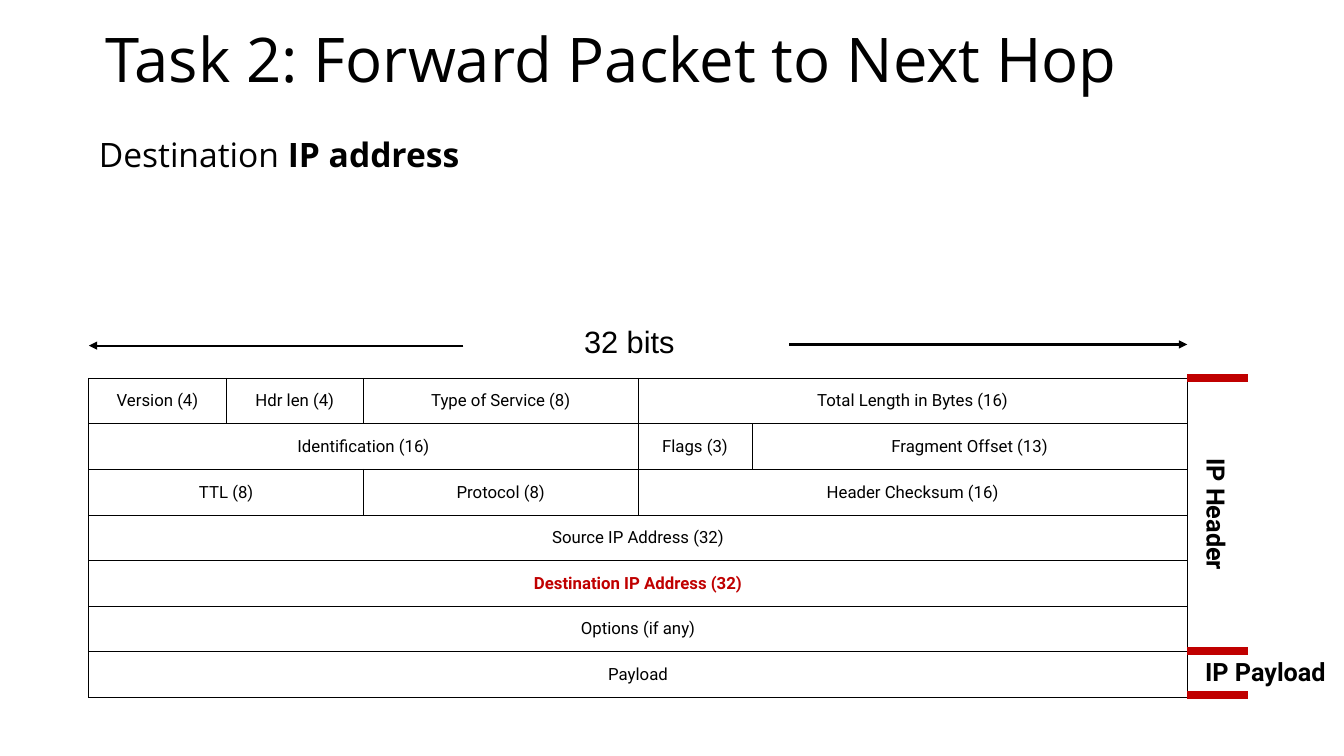
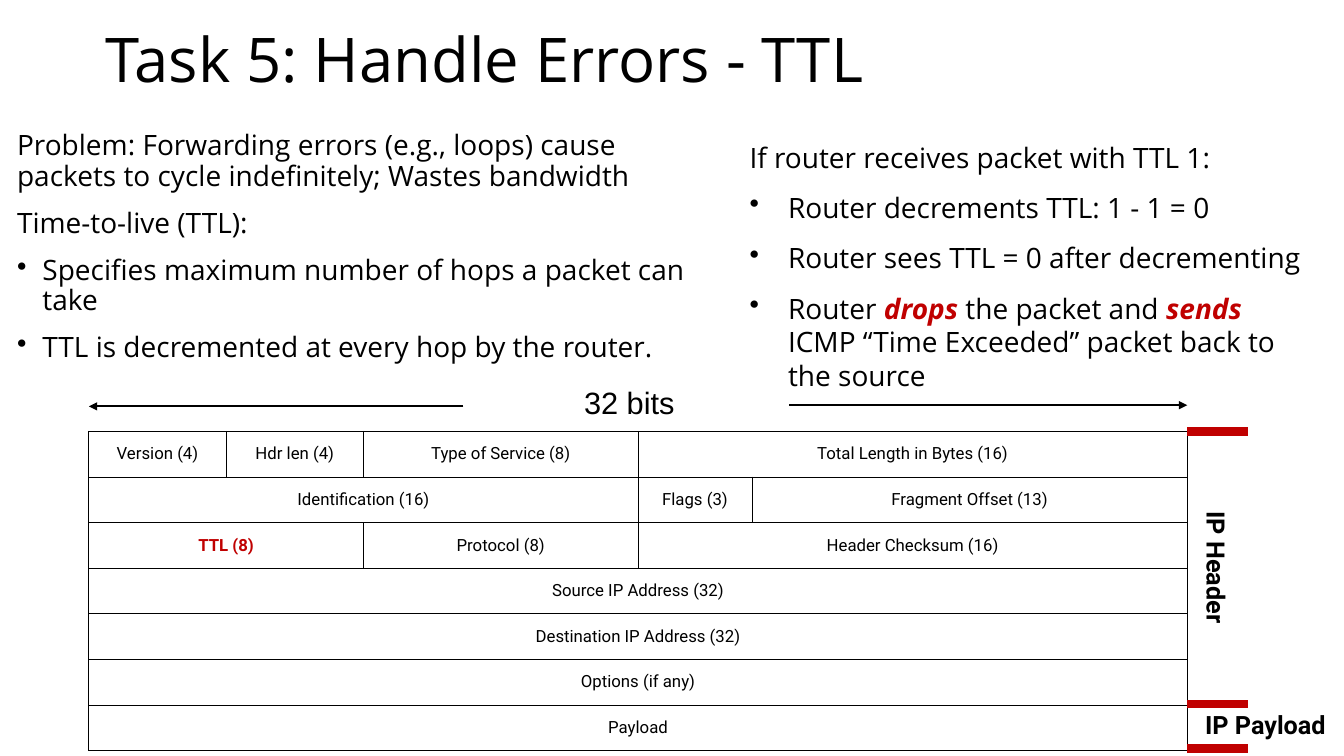
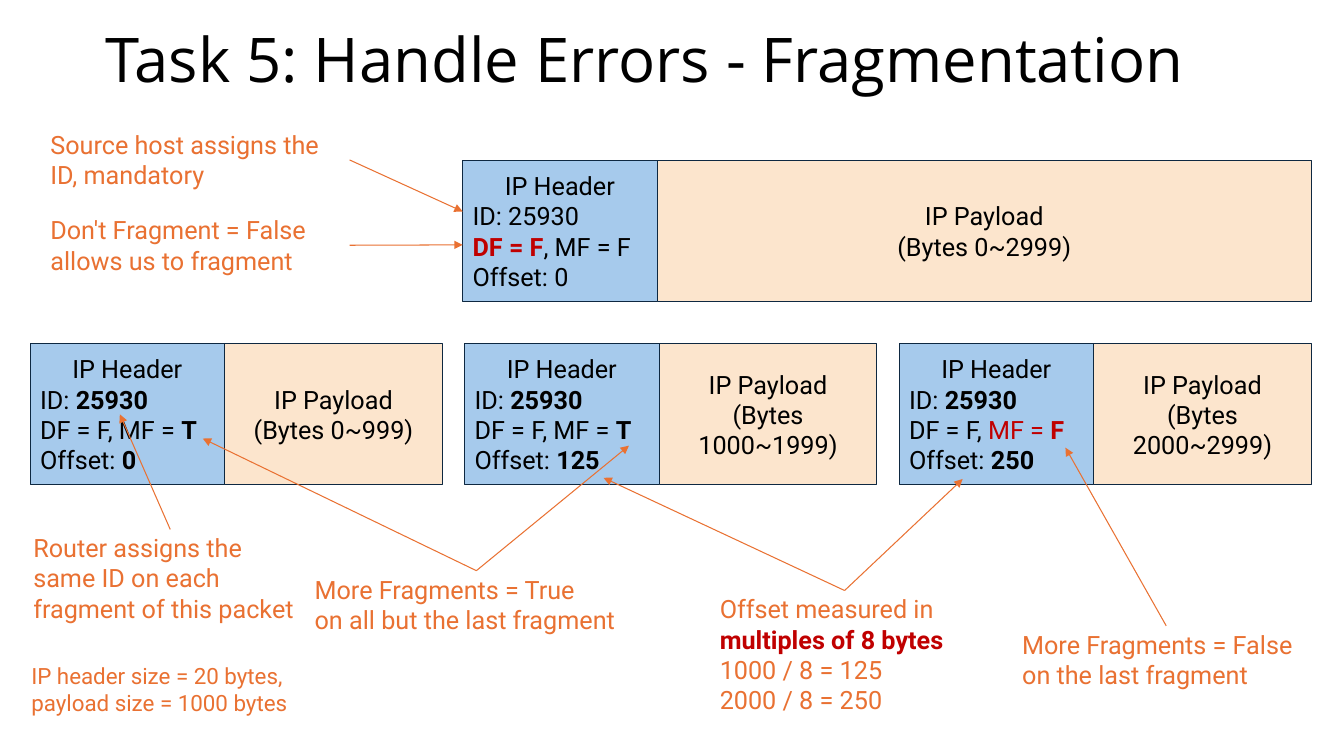
from dataclasses import dataclass

from lxml.etree import SubElement
from pptx import Presentation
from pptx.dml.color import RGBColor
from pptx.enum.shapes import MSO_CONNECTOR, MSO_SHAPE
from pptx.enum.text import MSO_ANCHOR, MSO_AUTO_SIZE, PP_ALIGN
from pptx.oxml.ns import qn
from pptx.presentation import Presentation as Deck
from pptx.shapes.autoshape import Shape
from pptx.shapes.connector import Connector
from pptx.slide import Slide
from pptx.table import _Cell as Cell
from pptx.text.text import TextFrame, _Paragraph as Paragraph
from pptx.util import Cm, Pt


@dataclass(frozen=True)
class Theme:
    ink: str = "000000"
    accent: str = "C00000"
    note: str = "E97132"
    header_fill: str = "A6CAEC"
    payload_fill: str = "FCE5CD"
    outline: str = "0E2841"
    title_font: str = "Open Sans"
    body_font: str = "Roboto"
    ruler_font: str = "Arial"
    title_size: float = 44
    lead_size: float = 24
    ruler_size: float = 22
    text_size: float = 20
    label_size: float = 18
    small_size: float = 16
    cell_size: float = 12


THEME = Theme()


@dataclass(frozen=True)
class Style:
    font: str
    size: float
    color: str = THEME.ink
    bold: bool = False


TITLE = Style(THEME.title_font, THEME.title_size)
LEAD = Style(THEME.title_font, THEME.lead_size)
BODY = Style(THEME.title_font, THEME.text_size)
RULER = Style(THEME.ruler_font, THEME.ruler_size)
CELL = Style(THEME.body_font, THEME.cell_size)
PACKET = Style(THEME.body_font, THEME.label_size)
SIDE = Style(THEME.body_font, THEME.label_size, bold=True)
NOTE = Style(THEME.body_font, THEME.label_size, THEME.note)
SMALL_NOTE = Style(THEME.body_font, THEME.small_size, THEME.note)


@dataclass(frozen=True)
class Piece:
    """A stretch of text; an empty colour keeps that of the style."""
    text: str
    color: str = ""
    bold: bool = False
    italic: bool = False


@dataclass(frozen=True)
class Line:
    pieces: tuple[Piece, ...]
    align: PP_ALIGN = PP_ALIGN.LEFT
    bullet: bool = False


@dataclass(frozen=True)
class Area:
    """A rectangle in centimetres."""
    left: float
    top: float
    width: float
    height: float

    def lengths(self) -> tuple[Cm, Cm, Cm, Cm]:
        return Cm(self.left), Cm(self.top), Cm(self.width), Cm(self.height)


@dataclass(frozen=True)
class Field:
    text: str
    columns: int


@dataclass(frozen=True)
class Packet:
    left: float
    top: float
    payload_width: float
    header: tuple[Line, ...]
    byte_range: str


@dataclass(frozen=True)
class Note:
    """A remark whose arrows leave from one connection site."""
    area: Area
    lines: tuple[Line, ...]
    targets: tuple[tuple[float, float], ...] = ()
    site: int = 0
    style: Style = NOTE


def plain(text: str, align: PP_ALIGN = PP_ALIGN.LEFT, bullet: bool = False) -> Line:
    return Line((Piece(text),), align, bullet)


def strong(text: str, color: str = "") -> Piece:
    return Piece(text, color, bold=True)


CENTER = PP_ALIGN.CENTER
PAGE_WIDTH, PAGE_HEIGHT = 33.87, 19.05
TABLE_LEFT, ROW_HEIGHT = 2.24, 1.15
COLUMN_WIDTHS = (3.46, 3.46, 3.46, 3.46, 2.87, 4.05, 3.46, 3.46)
TABLE_RIGHT = TABLE_LEFT + sum(COLUMN_WIDTHS)
HEADER_FIELDS = (
    (Field("Version (4)", 1), Field("Hdr len (4)", 1), Field("Type of Service (8)", 2),
     Field("Total Length in Bytes (16)", 4)),
    (Field("Identification (16)", 4), Field("Flags (3)", 1), Field("Fragment Offset (13)", 3)),
    (Field("TTL (8)", 2), Field("Protocol (8)", 2), Field("Header Checksum (16)", 4)),
    (Field("Source IP Address (32)", 8),),
    (Field("Destination IP Address (32)", 8),),
    (Field("Options (if any)", 8),),
    (Field("Payload", 8),),
)
PACKET_HEADER_WIDTH, PACKET_HEIGHT = 4.9, 3.56
FRAGMENT_LEFT, FRAGMENT_STEP, FRAGMENT_TOP = 0.76, 10.95, 8.66


def set_insets(frame: TextFrame, across: float, down: float) -> None:
    frame.margin_left = frame.margin_right = Cm(across)
    frame.margin_top = frame.margin_bottom = Cm(down)


def set_bullet(para: Paragraph, indent: float) -> None:
    properties = para._p.get_or_add_pPr()
    properties.set("marL", str(Cm(indent)))
    properties.set("indent", str(-Cm(indent)))
    SubElement(properties, qn("a:buChar")).set("char", "•")


def write(frame: TextFrame, lines: tuple[Line, ...], style: Style, spacing: float = 0,
          line_spacing: float = 1, indent: float = 0.64) -> None:
    frame.text = "\n".join(line.pieces[0].text for line in lines)
    for para, line in zip(frame.paragraphs, lines):
        para.alignment = line.align
        para.line_spacing = line_spacing
        para.space_before = para.space_after = Pt(spacing)
        if line.bullet:
            set_bullet(para, indent)
        for piece in line.pieces[1:]:
            para.add_run().text = piece.text
        for span, piece in zip(para.runs, line.pieces):
            span.font.name = style.font
            span.font.size = Pt(style.size)
            span.font.bold = style.bold or piece.bold
            span.font.italic = piece.italic
            span.font.color.rgb = RGBColor.from_string(piece.color or style.color)


def add_text(page: Slide, area: Area, lines: tuple[Line, ...], style: Style,
             insets: tuple[float, float] = (0.25, 0.25), grow: bool = False,
             wrap: bool = True, spacing: float = 0, line_spacing: float = 1,
             indent: float = 0.64) -> Shape:
    box = page.shapes.add_textbox(*area.lengths())
    frame = box.text_frame
    frame.word_wrap = wrap
    frame.auto_size = MSO_AUTO_SIZE.SHAPE_TO_FIT_TEXT if grow else MSO_AUTO_SIZE.NONE
    set_insets(frame, *insets)
    write(frame, lines, style, spacing, line_spacing, indent)
    return box


def add_line(page: Slide, start: tuple[float, float], end: tuple[float, float],
             color: str, width: float, arrow: bool = False) -> Connector:
    connector = page.shapes.add_connector(
        MSO_CONNECTOR.STRAIGHT, *(Cm(value) for value in start + end))
    connector.line.width = Pt(width)
    connector.line.color.rgb = RGBColor.from_string(color)
    properties = connector._element.spPr
    if arrow:
        SubElement(properties.find(qn("a:ln")), qn("a:tailEnd")).set("type", "triangle")
    SubElement(properties, qn("a:effectLst"))
    return connector


def add_page(deck: Deck, title: str) -> Slide:
    page = deck.slides.add_slide(deck.slide_layouts[6])
    add_text(page, Area(2.41, 0.61, 29.03, 2.49), (plain(title),), TITLE,
             insets=(0.25, 0.13), line_spacing=0.9)
    return page


def set_borders(cell: Cell) -> None:
    properties = cell._tc.get_or_add_tcPr()
    for side in ("a:lnL", "a:lnR", "a:lnT", "a:lnB"):
        border = SubElement(properties, qn(side), w=str(Pt(0.75)))
        fill = SubElement(border, qn("a:solidFill"))
        SubElement(fill, qn("a:srgbClr")).set("val", THEME.ink)


def add_header_table(page: Slide, top: float, highlight: str) -> None:
    area = Area(TABLE_LEFT, top, sum(COLUMN_WIDTHS), ROW_HEIGHT * len(HEADER_FIELDS))
    table = page.shapes.add_table(
        len(HEADER_FIELDS), len(COLUMN_WIDTHS), *area.lengths()).table
    table.first_row = table.horz_banding = False
    for column, width in zip(table.columns, COLUMN_WIDTHS):
        column.width = Cm(width)
    for row in table.rows:
        row.height = Cm(ROW_HEIGHT)
    for cell in table.iter_cells():
        set_borders(cell)
        cell.fill.background()
        cell.margin_left = cell.margin_right = Cm(0.08)
        cell.margin_top = cell.margin_bottom = Cm(0.08)
        cell.vertical_anchor = MSO_ANCHOR.MIDDLE
    for row_index, fields in enumerate(HEADER_FIELDS):
        column_index = 0
        for field in fields:
            cell = table.cell(row_index, column_index)
            column_index += field.columns
            if field.columns > 1:
                cell.merge(table.cell(row_index, column_index - 1))
            marked = field.text == highlight
            piece = strong(field.text, THEME.accent) if marked else Piece(field.text)
            write(cell.text_frame, (Line((piece,), CENTER),), CELL)


def add_ruler(page: Slide, top: float) -> None:
    add_text(page, Area(14.45, top, 2.82, 1.19), (plain("32 bits", CENTER),), RULER,
             insets=(0.25, 0.13), grow=True, wrap=False)
    for start, end, drop in ((19.89, TABLE_RIGHT, 0.68), (11.68, TABLE_LEFT, 0.71)):
        add_line(page, (start, top + drop), (end, top + drop), THEME.ink, 1.5, arrow=True)


def add_header_diagram(page: Slide, top: float, ruler_top: float, highlight: str) -> None:
    """Draw the header table with its ruler above and section labels at the right."""
    add_header_table(page, top, highlight)
    add_ruler(page, ruler_top)
    header_label = add_text(page, Area(28.63, top + 2.79, 4.06, 1.27),
                            (plain("IP Header", CENTER),), SIDE, grow=True)
    header_label.rotation = 90
    add_text(page, Area(TABLE_RIGHT, top + 6.76, 3.94, 1.27),
             (plain("IP Payload", CENTER),), SIDE, grow=True)
    for drop in (0, 6.87, 7.99):
        add_line(page, (TABLE_RIGHT, top + drop), (TABLE_RIGHT + 1.52, top + drop),
                 THEME.accent, 6)


def add_block(page: Slide, area: Area, fill: str, lines: tuple[Line, ...]) -> None:
    block = page.shapes.add_shape(MSO_SHAPE.RECTANGLE, *area.lengths())
    block.shadow.inherit = False
    block.fill.solid()
    block.fill.fore_color.rgb = RGBColor.from_string(fill)
    block.line.color.rgb = RGBColor.from_string(THEME.outline)
    block.line.width = Pt(0.75)
    frame = block.text_frame
    frame.word_wrap = True
    frame.vertical_anchor = MSO_ANCHOR.MIDDLE
    set_insets(frame, 0.25, 0.25)
    write(frame, lines, PACKET)


def add_packet(page: Slide, packet: Packet) -> None:
    add_block(page, Area(packet.left, packet.top, PACKET_HEADER_WIDTH, PACKET_HEIGHT),
              THEME.header_fill, (plain("IP Header", CENTER),) + packet.header)
    add_block(page, Area(packet.left + PACKET_HEADER_WIDTH, packet.top,
                         packet.payload_width, PACKET_HEIGHT),
              THEME.payload_fill,
              (plain("IP Payload", CENTER), plain(f"(Bytes {packet.byte_range})", CENTER)))


def add_note(page: Slide, note: Note) -> None:
    box = add_text(page, note.area, note.lines, note.style, insets=(0.08, 0.08), grow=True)
    for target in note.targets:
        arrow = add_line(page, (note.area.left, note.area.top), target,
                         THEME.note, 0.75, arrow=True)
        arrow.begin_connect(box, note.site)


def fragment(index: int, flags: tuple[Piece, ...], offset: str, byte_range: str) -> Packet:
    header = (Line((Piece("ID: "), strong("25930"))), Line(flags),
              Line((Piece("Offset: "), strong(offset))))
    return Packet(FRAGMENT_LEFT + index * FRAGMENT_STEP, FRAGMENT_TOP, 5.49,
                  header, byte_range)


MORE_FOLLOW = (Piece("DF = F, MF = "), strong("T"))
LAST_ONE = (Piece("DF = F, "), Piece("MF = ", THEME.accent), strong("F", THEME.accent))
PACKETS = (
    Packet(11.66, 4.04, 16.49,
           (plain("ID: 25930"),
            Line((strong("DF = F", THEME.accent), Piece(", MF = F"))),
            plain("Offset: 0")), "0~2999"),
    fragment(0, MORE_FOLLOW, "0", "0~999"),
    fragment(1, MORE_FOLLOW, "125", "1000~1999"),
    fragment(2, LAST_ONE, "250", "2000~2999"),
)
NOTES = (
    Note(Area(1.19, 3.18, 7.62, 1.7), (plain("Source host assigns the ID, mandatory"),),
         ((11.66, 5.33),), site=3),
    Note(Area(1.19, 5.33, 7.62, 1.7), (plain("Don't Fragment = False allows us to fragment"),),
         ((11.66, 6.17),), site=3),
    Note(Area(0.76, 13.34, 7.06, 2.46),
         (plain("Router assigns the same ID on each fragment of this packet"),),
         ((3.02, 10.44),)),
    Note(Area(7.85, 14.38, 8.31, 1.7),
         (plain("More Fragments = True"), plain("on all but the last fragment")),
         ((5.11, 11.05), (15.85, 11.23))),
    Note(Area(18.06, 14.88, 6.45, 3.23),
         (Line((Piece("Offset measured in "), strong("multiples of 8 bytes", THEME.accent),
                Piece(" 1000 / 8 = 125"))),
          plain("2000 / 8 = 250")),
         ((15.21, 12.04), (24.26, 12.07))),
    Note(Area(25.68, 15.77, 7.42, 1.7),
         (plain("More Fragments = False"), plain("on the last fragment")),
         ((26.85, 11.28),)),
    Note(Area(0.71, 16.61, 6.99, 1.52),
         (plain("IP header size = 20 bytes, payload size = 1000 bytes"),), style=SMALL_NOTE),
)


def build_forwarding(deck: Deck) -> None:
    page = add_page(deck, "Task 2: Forward Packet to Next Hop")
    add_text(page, Area(2.24, 3.23, 29.21, 2.9),
             (Line((Piece("Destination "), strong("IP address"))),), LEAD,
             spacing=6, line_spacing=0.9)
    add_header_diagram(page, 9.53, 8, "Destination IP Address (32)")


def build_time_to_live(deck: Deck) -> None:
    page = add_page(deck, "Task 5: Handle Errors - TTL")
    problem = (
        plain("Problem: Forwarding errors (e.g., loops) cause packets to cycle "
              "indefinitely; Wastes bandwidth"),
        plain("Time-to-live (TTL):"),
        plain("Specifies maximum number of hops a packet can take", bullet=True),
        plain("TTL is decremented at every hop by the router.", bullet=True),
    )
    add_text(page, Area(0.18, 3.07, 17.73, 5.92), problem, BODY, spacing=6, line_spacing=0.9)
    add_header_diagram(page, 10.87, 9.53, "TTL (8)")
    reaction = (
        plain("If router receives packet with TTL 1:"),
        plain("Router decrements TTL: 1 - 1 = 0", bullet=True),
        plain("Router sees TTL = 0 after decrementing", bullet=True),
        Line((Piece("Router "), Piece("drops", THEME.accent, True, True),
              Piece(" the packet and "), Piece("sends", THEME.accent, True, True),
              Piece(" ICMP “Time Exceeded” packet back to the source")), bullet=True),
    )
    add_text(page, Area(18.64, 3.4, 14.78, 5.82), reaction, BODY, insets=(0.25, 0.13),
             grow=True, spacing=6, indent=0.97)


def build_fragmentation(deck: Deck) -> None:
    page = add_page(deck, "Task 5: Handle Errors - Fragmentation")
    for packet in PACKETS:
        add_packet(page, packet)
    for note in NOTES:
        add_note(page, note)


def main() -> None:
    deck = Presentation()
    deck.slide_width, deck.slide_height = Cm(PAGE_WIDTH), Cm(PAGE_HEIGHT)
    build_forwarding(deck)
    build_time_to_live(deck)
    build_fragmentation(deck)
    deck.save("out.pptx")


if __name__ == "__main__":
    main()
